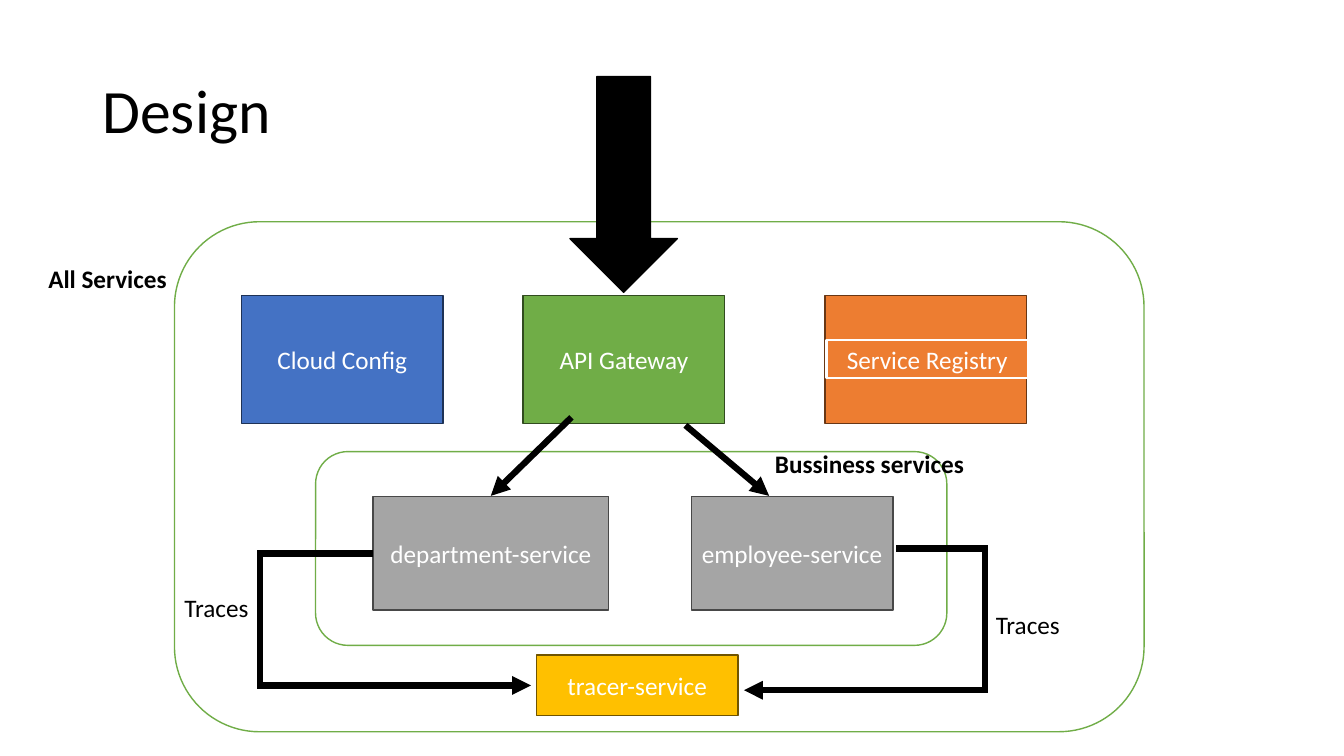
from typing import NamedTuple, Optional

from lxml.etree import SubElement
from pptx import Presentation
from pptx.dml.color import RGBColor
from pptx.enum.shapes import MSO_CONNECTOR, MSO_SHAPE
from pptx.enum.text import MSO_ANCHOR, MSO_AUTO_SIZE, PP_ALIGN
from pptx.oxml.ns import qn
from pptx.util import Pt

FONT = "Calibri"
BLACK, WHITE = "000000", "FFFFFF"
BLUE, GREEN, ORANGE, GREY, GOLD = "4472C4", "70AD47", "ED7D31", "A5A5A5", "FFC000"


class Block(NamedTuple):
    left: float
    top: float
    width: float
    height: float
    fill: str
    line: str
    text: str = ""
    kind: MSO_SHAPE = MSO_SHAPE.RECTANGLE
    line_width: float = 1


class Label(NamedTuple):
    text: str
    left: float
    top: float
    width: float = 144
    bold: bool = False


class Arrow(NamedTuple):
    """Runs from start to end, bending at turn_x when that is given."""
    start: tuple[float, float]
    end: tuple[float, float]
    turn_x: Optional[float] = None


SERVICE = dict(top=211, width=144, height=91.4)
BUSINESS = dict(top=354.5, height=81.2, fill=GREY, line="484848")

BLOCKS = [
    Block(124.6, 158.4, 692.6, 364.3, WHITE, GREEN, kind=MSO_SHAPE.ROUNDED_RECTANGLE),
    Block(left=589.4, fill=ORANGE, line="683715", **SERVICE),
    Block(590.4, 242.8, 144, 27.4, ORANGE, WHITE, "Service Registry", line_width=1.5),
    Block(left=373.7, fill=GREEN, line="314C1F", text="API Gateway", **SERVICE),
    Block(left=172.5, fill=BLUE, line="1E3256", text="Cloud Config", **SERVICE),
    Block(225.4, 322.6, 450.9, 138.4, WHITE, GREEN, kind=MSO_SHAPE.ROUNDED_RECTANGLE),
    Block(left=266.4, width=168.5, text="department-service", **BUSINESS),
    Block(left=493.8, width=144, text="employee-service", **BUSINESS),
    Block(407.2, 54.7, 76.7, 154.1, BLACK, BLACK, kind=MSO_SHAPE.DOWN_ARROW),
    Block(383.2, 468, 144, 43.2, GOLD, "705400", "tracer-service"),
]

ARROWS = [
    Arrow((489.6, 303.8), (549.4, 354.2)),
    Arrow((408.2, 298.1), (350.6, 354.2)),
    Arrow((640.1, 391.9), (531.4, 493), turn_x=703.6),
    Arrow((266.4, 395.3), (379.4, 489.6), turn_x=185.7),
]

LABELS = [
    Label("Traces", 704.2, 432),
    Label("Traces", 124.6, 419.4),
    Label("All Services", 27.4, 184.3, bold=True),
    Label("Bussiness services", 546.5, 317, 182.2, bold=True),
]


def rgb(code: str) -> RGBColor:
    return RGBColor.from_string(code)


def write(shape, text: str, *, size: float = 18, color: str = BLACK, bold: bool = False,
          align=PP_ALIGN.LEFT, anchor=MSO_ANCHOR.TOP, spacing: float = 1,
          side_margin: float = 7.2) -> None:
    frame = shape.text_frame
    frame.auto_size = MSO_AUTO_SIZE.NONE
    frame.word_wrap = True
    frame.vertical_anchor = anchor
    frame.margin_left = frame.margin_right = Pt(side_margin)
    paragraph = frame.paragraphs[0]
    paragraph.alignment = align
    paragraph.line_spacing = spacing
    run = paragraph.add_run()
    run.text = text
    run.font.name = FONT
    run.font.size = Pt(size)
    run.font.bold = bold
    run.font.color.rgb = rgb(color)


def add_block(slide, block: Block) -> None:
    shape = slide.shapes.add_shape(block.kind, Pt(block.left), Pt(block.top),
                                   Pt(block.width), Pt(block.height))
    shape.shadow.inherit = False
    shape.fill.solid()
    shape.fill.fore_color.rgb = rgb(block.fill)
    shape.line.color.rgb = rgb(block.line)
    shape.line.width = Pt(block.line_width)
    if block.text:
        write(shape, block.text, color=WHITE, align=PP_ALIGN.CENTER,
              anchor=MSO_ANCHOR.MIDDLE, side_margin=3.6)


def add_arrow(slide, arrow: Arrow) -> None:
    kind = MSO_CONNECTOR.STRAIGHT if arrow.turn_x is None else MSO_CONNECTOR.ELBOW
    connector = slide.shapes.add_connector(kind, *map(Pt, arrow.start + arrow.end))
    connector.line.color.rgb = rgb(BLACK)
    connector.line.width = Pt(4.5)
    properties = connector._element.spPr
    outline = properties.find(qn("a:ln"))
    SubElement(outline, qn("a:miter"), lim="800000")
    SubElement(outline, qn("a:tailEnd"), type="triangle")
    SubElement(properties, qn("a:effectLst"))
    if arrow.turn_x is not None:
        start_x, end_x = arrow.start[0], arrow.end[0]
        bend = round((arrow.turn_x - start_x) / (end_x - start_x) * 100000)
        adjustments = properties.find(qn("a:prstGeom")).find(qn("a:avLst"))
        SubElement(adjustments, qn("a:gd"), name="adj1", fmla=f"val {bend}")


def add_label(slide, label: Label) -> None:
    box = slide.shapes.add_textbox(Pt(label.left), Pt(label.top), Pt(label.width), Pt(29))
    write(box, label.text, bold=label.bold)


def main() -> None:
    deck = Presentation()
    deck.slide_width, deck.slide_height = Pt(960), Pt(540)
    slide = deck.slides.add_slide(deck.slide_layouts.get_by_name("Title Only"))

    title = slide.shapes.title
    title.left, title.top, title.width, title.height = map(Pt, (66, 28.8, 828, 104.4))
    write(title, "Design", size=44, anchor=MSO_ANCHOR.MIDDLE, spacing=0.9)

    for block in BLOCKS:
        add_block(slide, block)
    for arrow in ARROWS:
        add_arrow(slide, arrow)
    for label in LABELS:
        add_label(slide, label)
    deck.save("out.pptx")


if __name__ == "__main__":
    main()
